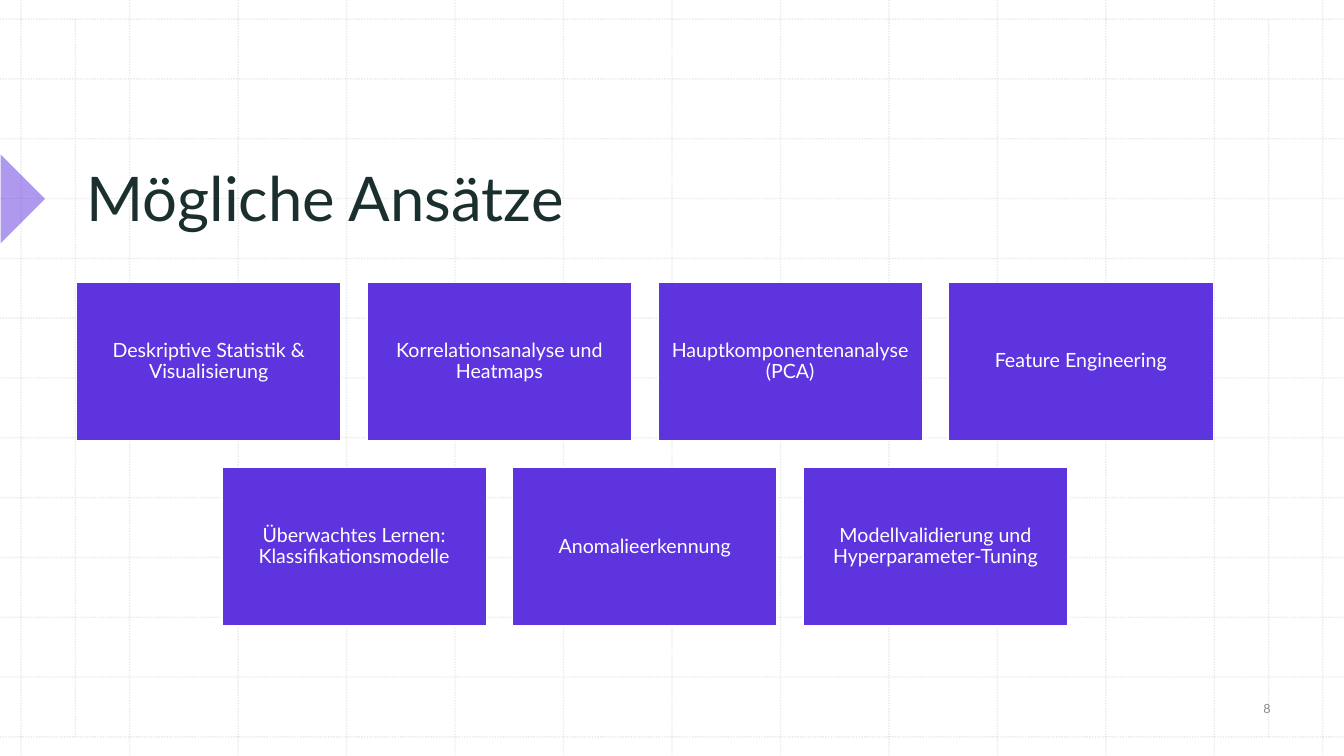
import pptx
import pptx.dml.color
import pptx.enum.dml
import pptx.enum.shapes
import pptx.enum.text
import pptx.oxml.ns
import pptx.util
from lxml import etree

SHAPES = pptx.enum.shapes.MSO_SHAPE
ALIGN = pptx.enum.text.PP_ALIGN
ANCHOR = pptx.enum.text.MSO_ANCHOR

WIDTH, HEIGHT = 13.33, 7.5
MARGIN_X, MARGIN_Y = 0.21, 0.19
COUNT = 12  # columns and rows of the background grid

APPROACH_ROWS = [
    ["Deskriptive Statistik & Visualisierung", "Korrelationsanalyse und Heatmaps",
     "Hauptkomponentenanalyse (PCA)", "Feature Engineering"],
    ["Überwachtes Lernen: Klassifikationsmodelle", "Anomalieerkennung",
     "Modellvalidierung und Hyperparameter-Tuning"],
]


def color(hex_string):
    return pptx.dml.color.RGBColor.from_string(hex_string)


def set_opacity(shape, percent):
    for color_element in shape.element.spPr.iter(pptx.oxml.ns.qn("a:srgbClr")):
        alpha = etree.SubElement(color_element, pptx.oxml.ns.qn("a:alpha"))
        alpha.set("val", str(percent * 1000))


class GridSlide:
    """Holds the style and the slide; lengths are grid columns and rows."""

    font = "Lato"
    accent = "5E34DE"
    white = "FFFFFF"
    column = (WIDTH - 2 * MARGIN_X) / COUNT
    row = (HEIGHT - 2 * MARGIN_Y) / COUNT
    edge_column = MARGIN_X / column
    edge_row = MARGIN_Y / row

    def __init__(self, presentation):
        self.slide = presentation.slides.add_slide(presentation.slide_layouts[6])
        self.slide.background.fill.solid()
        self.slide.background.fill.fore_color.rgb = color(self.white)

    def point(self, column, row):
        return (pptx.util.Inches(MARGIN_X + column * self.column),
                pptx.util.Inches(MARGIN_Y + row * self.row))

    def area(self, column, row, columns, rows):
        return (*self.point(column, row),
                pptx.util.Inches(columns * self.column),
                pptx.util.Inches(rows * self.row))

    def guide(self, start, end):
        guide = self.slide.shapes.add_connector(
            pptx.enum.shapes.MSO_CONNECTOR.STRAIGHT,
            *self.point(*start), *self.point(*end))
        guide.line.color.rgb = color("BCBCBC")
        guide.line.width = pptx.util.Pt(1)
        guide.line.dash_style = pptx.enum.dml.MSO_LINE.ROUND_DOT
        set_opacity(guide, 30)
        etree.SubElement(guide.element.spPr, pptx.oxml.ns.qn("a:effectLst"))

    def shape(self, kind, *area):
        shape = self.slide.shapes.add_shape(kind, *self.area(*area))
        shape.shadow.inherit = False
        shape.fill.solid()
        shape.fill.fore_color.rgb = color(self.accent)
        return shape

    def marker(self, *area):
        triangle = self.shape(SHAPES.RIGHT_TRIANGLE, *area)
        triangle.rotation = 225
        triangle.line.fill.background()
        set_opacity(triangle, 50)

    def add_text(self, shape, text, size, text_color, anchor, align, spacing=None):
        frame = shape.text_frame
        frame.word_wrap = True
        frame.vertical_anchor = anchor
        paragraph = frame.paragraphs[0]
        paragraph.alignment = align
        paragraph.line_spacing = spacing
        run = paragraph.add_run()
        run.text = text
        run.font.name = self.font
        run.font.size = pptx.util.Pt(size)
        run.font.color.rgb = color(text_color)

    def label(self, text, area, size, text_color, anchor, align):
        box = self.slide.shapes.add_textbox(*self.area(*area))
        self.add_text(box, text, size, text_color, anchor, align)

    def card(self, text, *area):
        card = self.shape(SHAPES.RECTANGLE, *area)
        card.line.color.rgb = color(self.white)
        card.line.width = pptx.util.Pt(1)
        frame = card.text_frame
        frame.margin_left = frame.margin_right = pptx.util.Inches(0.06)
        frame.margin_top = frame.margin_bottom = pptx.util.Inches(0.06)
        self.add_text(card, text, 14, self.white, ANCHOR.MIDDLE, ALIGN.CENTER, 0.9)


def draw_background(slide):
    left, right = -slide.edge_column, COUNT + slide.edge_column
    top, bottom = -slide.edge_row, COUNT + slide.edge_row
    for index in range(COUNT + 1):
        slide.guide((index, top), (index, bottom))
        slide.guide((left, index), (right, index))
    for column in (0.5, COUNT - 0.5):
        slide.guide((column, 0), (column, COUNT))


def draw_approaches(slide):
    left, top = 0.51, 4.4
    columns, rows = 2.44, 2.65
    column_step, row_step = 2.68, 3.1
    longest = max(len(texts) for texts in APPROACH_ROWS)
    for row_index, texts in enumerate(APPROACH_ROWS):
        indent = (longest - len(texts)) * column_step / 2
        for index, text in enumerate(texts):
            slide.card(text, left + indent + index * column_step,
                       top + row_index * row_step, columns, rows)


def main():
    presentation = pptx.Presentation()
    presentation.slide_width = pptx.util.Inches(WIDTH)
    presentation.slide_height = pptx.util.Inches(HEIGHT)
    slide = GridSlide(presentation)
    draw_background(slide)
    slide.marker(-0.48, 2.48, 0.58, 1.05)
    slide.label("Mögliche Ansätze", (0.51, 1.01, 10.49, 2.66), 44, "1B2F2F",
                ANCHOR.BOTTOM, ALIGN.LEFT)
    draw_approaches(slide)
    slide.label("8", (10.99, 11.14, 0.99, 0.78), 9, "8C8C8C",
                ANCHOR.MIDDLE, ALIGN.CENTER)
    presentation.save("out.pptx")


if __name__ == "__main__":
    main()
